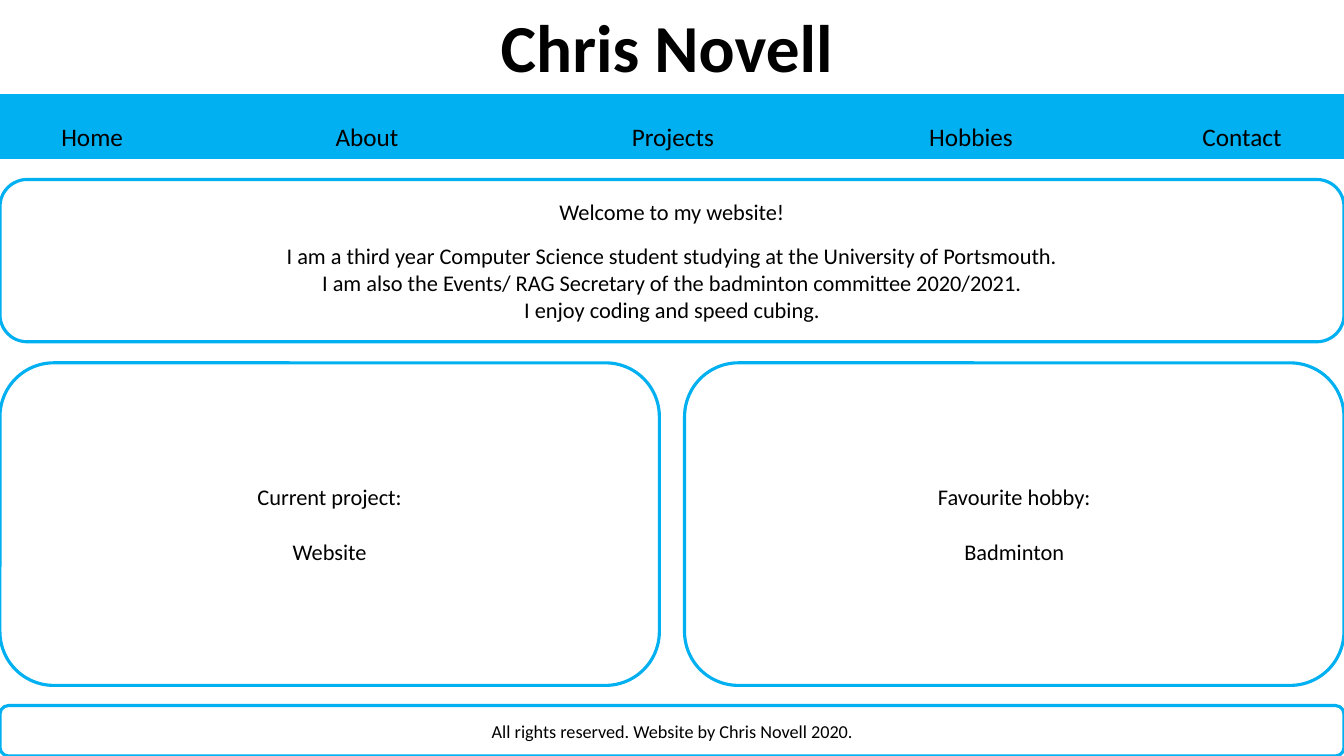
"""Build the home page slide of a personal website."""
import pptx
import pptx.dml.color
import pptx.enum.shapes
import pptx.enum.text
import pptx.util

Pt = pptx.util.Pt
RGB = pptx.dml.color.RGBColor.from_string
SHAPE = pptx.enum.shapes.MSO_SHAPE
ALIGN = pptx.enum.text.PP_ALIGN
ANCHOR = pptx.enum.text.MSO_ANCHOR

TITLE = "Chris Novell"
NAV = [("Home", 36.7), ("About", 232.6), ("Projects", 444.2), ("Hobbies", 656.6), ("Contact", 851.8)]
WELCOME = [
    ("Welcome to my website!", 12.2),
    ("I am a third year Computer Science student studying at the University of Portsmouth.", 0),
    ("I am also the Events/ RAG Secretary of the badminton committee 2020/2021.", 0),
    ("I enjoy coding and speed cubing.", 0),
]
CARDS = [
    [("Current project:", 19.5), ("Website", 0)],
    [("Favourite hobby:", 19.5), ("Badminton", 0)],
]
FOOTER = [("All rights reserved. Website by Chris Novell 2020.", 0)]

THEME = {
    "font": "Calibri", "ink": "000000", "accent": "00B0F0", "paper": "FFFFFF",
    "title": 48, "nav": 18, "body": 16, "footer": 13, "bar_line": 1, "box_line": 2.25,
}
W, H = 960, 540
GAP = 18
CARD_W = (W - GAP) / 2
NAV_W = 129


def write(tf, lines, size, align, bold=False):
    for i, (text, after) in enumerate(lines):
        p = tf.paragraphs[0] if i == 0 else tf.add_paragraph()
        p.alignment, p.space_after = align, Pt(after)
        r = p.add_run()
        r.text = text
        r.font.color.rgb = RGB(THEME["ink"])
        for name, value in {"name": THEME["font"], "size": Pt(size), "bold": bold}.items():
            setattr(r.font, name, value)


def add_box(s, kind, box, fill, line):
    sp = s.shapes.add_shape(kind, *map(Pt, box))
    sp.shadow.inherit = False
    sp.fill.solid()
    sp.fill.fore_color.rgb = RGB(fill)
    sp.line.color.rgb = RGB(THEME["accent"])
    sp.line.width = Pt(line)
    return sp


def add_panel(s, box, lines, size):
    sp = add_box(s, SHAPE.ROUNDED_RECTANGLE, box, THEME["paper"], THEME["box_line"])
    tf = sp.text_frame
    for name, value in {"word_wrap": True, "vertical_anchor": ANCHOR.MIDDLE}.items():
        setattr(tf, name, value)
    write(tf, lines, size, ALIGN.CENTER)


def add_label(s, box, text, size, bold=False):
    tf = s.shapes.add_textbox(*map(Pt, box)).text_frame
    tf.word_wrap = True
    write(tf, [(text, 0)], size, ALIGN.LEFT, bold)


prs = pptx.Presentation()
prs.slide_width, prs.slide_height = Pt(W), Pt(H)
s = prs.slides.add_slide(prs.slide_layouts[6])

add_box(s, SHAPE.RECTANGLE, (0, 67.7, W, 45.4), THEME["accent"], THEME["bar_line"])
for text, x in NAV:
    add_label(s, (x, 82.8, min(NAV_W, W - x), 29), text, THEME["nav"])
add_label(s, (350.6, 0, 259.2, 65.5), TITLE, THEME["title"], True)

add_panel(s, (0, 504, W, 36), FOOTER, THEME["footer"])
add_panel(s, (0, 128.2, W, 115.9), WELCOME, THEME["body"])
for i, lines in enumerate(CARDS):
    add_panel(s, (i * (CARD_W + GAP), 259.2, CARD_W, 230.4), lines, THEME["body"])

prs.save("out.pptx")
